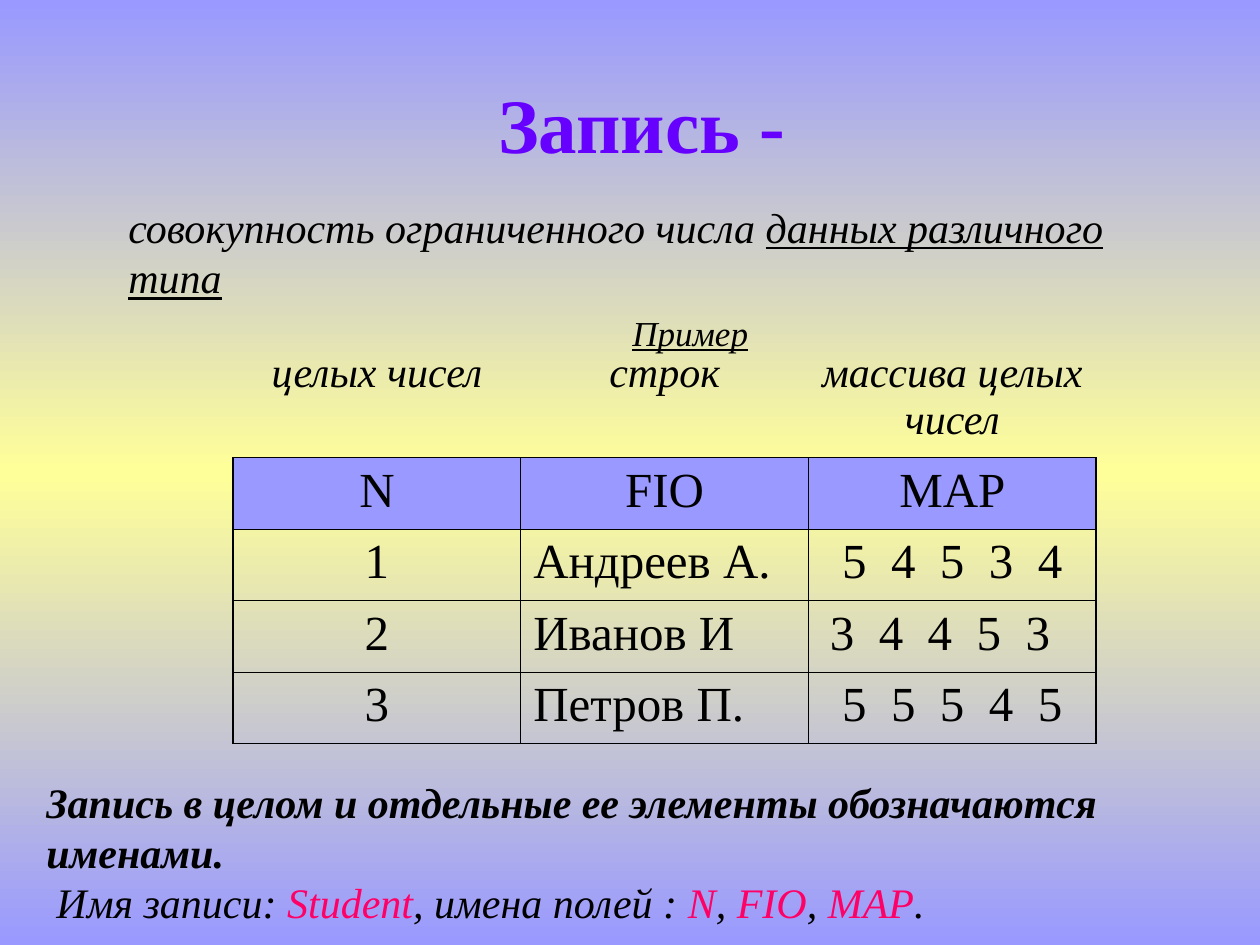
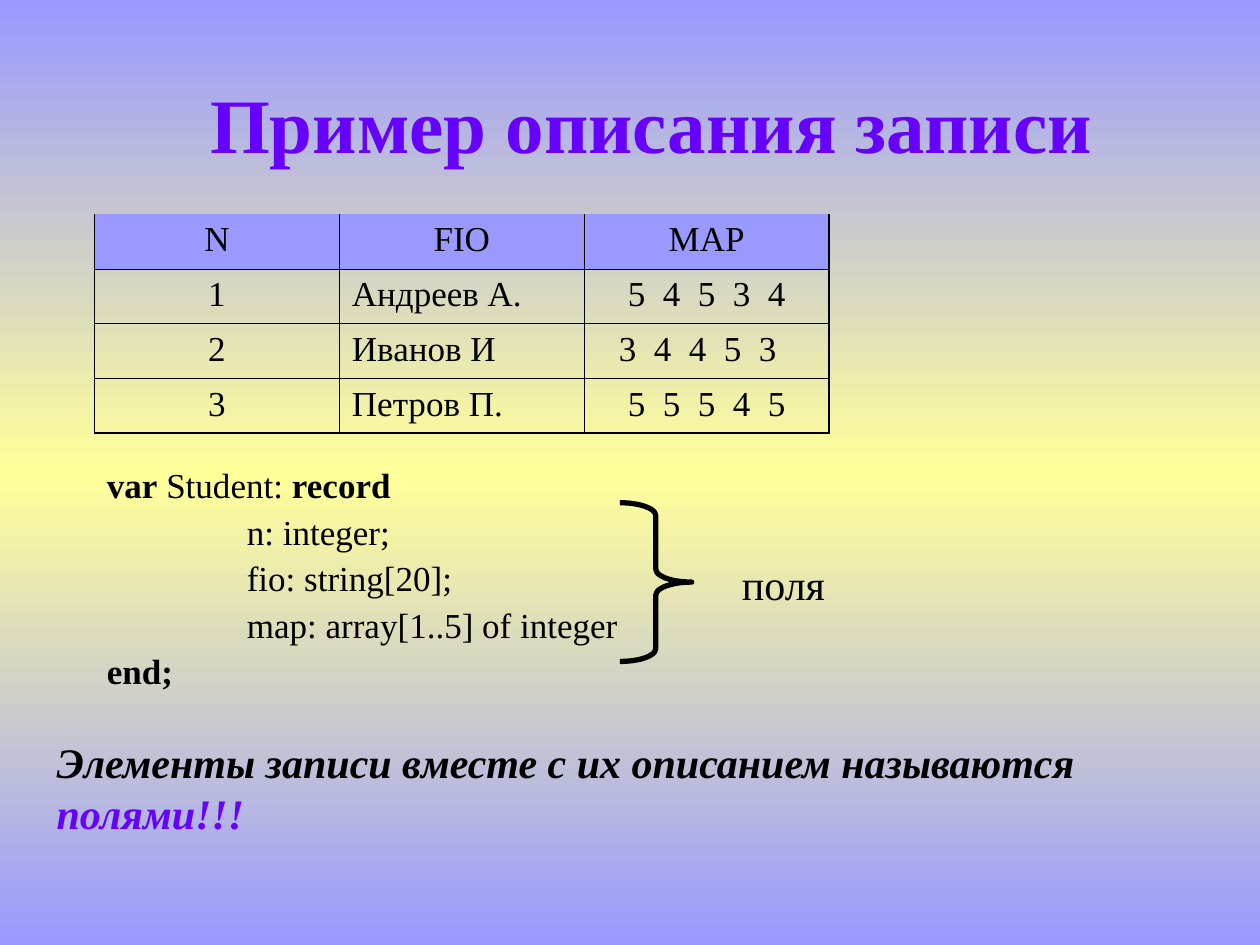
from copy import deepcopy

from lxml import etree
from pptx import Presentation
from pptx import util as u
from pptx.dml.color import RGBColor
from pptx.enum import shapes, text
from pptx.oxml import ns

COLORS = {"band": "9999FF", "glow": "FFFF99", "title": "6600FF", "ink": "000000", "name": "FF0066"}
FONT = "Times New Roman"
NO_GRID = "{2D5ABB26-0587-4C30-8999-92F81FD0307C}"
THIN, THICK = 0.45, 1.08
CENTER, LEFT = text.PP_ALIGN.CENTER, text.PP_ALIGN.LEFT
FIELDS = ("N", "FIO", "MAP")
FIELD_TYPES = ("целых чисел", "строк", "массива целых чисел")
STUDENTS = [
    ("1", "Андреев А.", "5  4  5  3  4"),
    ("2", "Иванов И", "3  4  4  5  3"),
    ("3", "Петров П.", "5  5  5  4  5"),
]
SHIFTED_ROW = "2"
SLIDE = (0, 0, u.Inches(10), u.Inches(7.5))


def color(name):
    return RGBColor.from_string(COLORS[name])


def inside(box, left, top, width, height):
    """Return the part of a box given by percentages of its size."""
    x, y, w, h = box
    return (int(x + w * left / 100), int(y + h * top / 100),
            int(w * width / 100), int(h * height / 100))


def write(para, words, size=24, ink="ink", bold=False, italic=False, underline=False):
    span = para.add_run()
    span.text = words
    font = span.font
    font.name, font.size = FONT, u.Pt(size)
    font.bold, font.italic, font.underline = bold, italic, underline
    font.color.rgb = color(ink)


def text_frame(page, box, wrap=True):
    frame = page.shapes.add_textbox(*box).text_frame
    frame.word_wrap = wrap
    return frame


def paint_background(master):
    fill = master.background.fill
    fill.gradient()
    fill.gradient_angle = 270
    stops = next(master.element.iter(ns.qn("a:gsLst")))
    stops.append(deepcopy(stops[0]))
    for stop, position, name in zip(fill.gradient_stops, (0, 0.5, 1), ("band", "glow", "band")):
        stop.position = position
        stop.color.rgb = color(name)


def add_page(deck, title):
    page = deck.slides.add_slide(deck.slide_layouts[6])
    frame = text_frame(page, inside(SLIDE, 9.2, 4.93, 85, 16.13))
    frame.vertical_anchor = text.MSO_ANCHOR.MIDDLE
    frame.paragraphs[0].alignment = CENTER
    write(frame.paragraphs[0], title, size=44, ink="title", bold=True)
    return page


def set_borders(cell, **widths):
    """Draw the cell's L, R, T and B edges at the given widths in points."""
    properties = cell._tc.get_or_add_tcPr()
    for index, side in enumerate(side for side in "LRTB" if widths.get(side)):
        line = etree.Element(ns.qn("a:ln" + side), w=str(u.Pt(widths[side])))
        fill = etree.SubElement(line, ns.qn("a:solidFill"))
        etree.SubElement(fill, ns.qn("a:srgbClr"), val=COLORS["ink"])
        properties.insert(index, line)


def fill_cell(cell, words, align=CENTER, fill=None, **style):
    para = cell.text_frame.paragraphs[0]
    para.alignment = align
    write(para, words, **style)
    cell.margin_left = cell.margin_right = u.Inches(0.1)
    if fill:
        cell.fill.solid()
        cell.fill.fore_color.rgb = color(fill)
    else:
        cell.fill.background()


def record_table(page, box, size, labels=None, label_share=0):
    """Table of students, with an optional borderless row of labels above it."""
    rows = [FIELDS, *STUDENTS]
    header = 1 if labels else 0
    if labels:
        rows.insert(0, labels)
    graphic = page.shapes.add_table(len(rows), len(FIELDS), *box)
    next(graphic._element.iter(ns.qn("a:tableStyleId"))).text = NO_GRID
    table = graphic.table
    label_height = int(box[3] * label_share / 100)
    for number, values in enumerate(rows):
        is_label, is_header = number < header, number == header
        table.rows[number].height = (
            label_height if is_label else (box[3] - label_height) // (len(STUDENTS) + 1))
        for column, value in enumerate(values):
            cell = table.cell(number, column)
            if is_label:
                fill_cell(cell, value, italic=True)
                if is_header is False:
                    set_borders(cell, B=THIN)
                continue
            is_name = column == 1 and not is_header
            fill_cell(cell, value, LEFT if is_name else CENTER,
                      "band" if is_header else None, size=size)
            if column == 2 and values[0] == SHIFTED_ROW:
                cell.margin_right = u.Inches(0.1 + size * 0.007)
            set_borders(cell,
                        L=THICK if column == 0 else THIN,
                        R=THICK if column == len(FIELDS) - 1 else THIN,
                        T=THIN if number else 0,
                        B=THICK if number == len(rows) - 1 else THIN)


def definition(page, box):
    frame = text_frame(page, box)
    write(frame.paragraphs[0], "совокупность ограниченного числа ", italic=True)
    write(frame.paragraphs[0], "данных различного типа", italic=True, underline=True)
    example = frame.add_paragraph()
    example.space_before = u.Pt(5)
    example._p.get_or_add_pPr().set("marL", str(u.Inches(4)))
    write(example, "Пример", size=20, italic=True, underline=True)


def naming_note(page, box):
    frame = text_frame(page, box)
    write(frame.paragraphs[0], "Запись в целом и отдельные ее элементы обозначаются именами.",
          bold=True, italic=True)
    names = frame.add_paragraph()
    names._p.get_or_add_pPr().set("marL", str(u.Inches(0.08)))
    pieces = ("Имя записи: ", "Student", ", имена полей : ", "N", ", ", "FIO", ", ", "MAP", ".")
    for index, piece in enumerate(pieces):
        write(names, piece, ink="name" if index % 2 else "ink", italic=True)


def record_code(page, box):
    """Record declaration with a brace that marks its fields."""
    indent = " " * 16
    lines = [
        [("var", True), (" Student: ", False), ("record", True)],
        [(indent + "n: integer;", False)],
        [(indent + "fio: string[20];", False)],
        [(indent + "map: array[1..5] of integer", False)],
        [("end;", True)],
    ]
    frame = text_frame(page, box)
    for index, line in enumerate(lines):
        para = frame.add_paragraph() if index else frame.paragraphs[0]
        para.line_spacing = 0.9
        para.space_before = u.Pt(5 if index else 0)
        for words, bold in line:
            write(para, words, size=20, bold=bold)

    brace = page.shapes.add_shape(shapes.MSO_SHAPE.RIGHT_BRACE,
                                  *inside(box, 63.96, 12.6, 8.74, 49.61))
    brace.adjustments[0] = 0.18
    brace.shadow.inherit = False
    brace.fill.background()
    brace.line.color.rgb = color("ink")
    brace.line.width = u.Pt(3)

    label = text_frame(page, inside(box, 77.3, 27.95, 13.19, 19.69), wrap=False)
    write(label.paragraphs[0], "поля")


def fields_note(page, box):
    para = text_frame(page, box).paragraphs[0]
    write(para, "Элементы записи вместе с их описанием называются ", bold=True, italic=True)
    write(para, "полями!!!", ink="title", bold=True, italic=True)


def definition_page(deck):
    page = add_page(deck, "Запись - ")
    definition(page, inside(SLIDE, 9.2, 20.67, 85.7, 17.87))
    record_table(page, inside(SLIDE, 18.5, 36.4, 68.5, 42.13), 28, FIELD_TYPES, 28.4)
    naming_note(page, inside(SLIDE, 2.7, 81.47, 97.3, 17.33))


def description_page(deck):
    page = add_page(deck, "Пример описания записи")
    record_code(page, inside(SLIDE, 7.5, 48.93, 65.2, 33.87))
    fields_note(page, inside(SLIDE, 3.5, 77.33, 92.1, 12))
    record_table(page, inside(SLIDE, 7.5, 22.67, 58.3, 23.2), 20)


def main():
    deck = Presentation()
    deck.slide_width, deck.slide_height = SLIDE[2:]
    paint_background(deck.slide_master)
    definition_page(deck)
    description_page(deck)
    deck.save("out.pptx")


if __name__ == "__main__":
    main()
